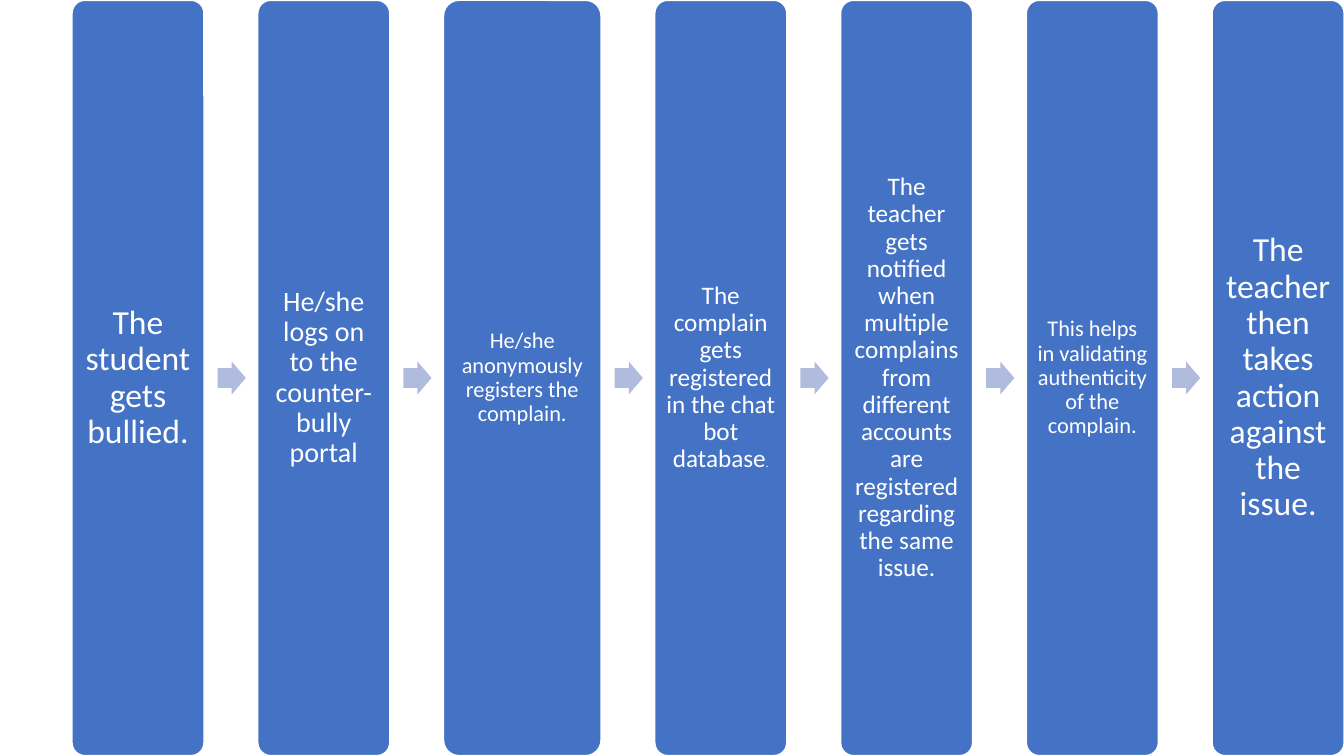
from pptx import Presentation
from pptx.dml.color import RGBColor
from pptx.enum import shapes, text
from pptx.util import Pt

BLUE = RGBColor(0x44, 0x72, 0xC4)
PALE = RGBColor(0xB0, 0xBC, 0xDE)
WHITE = RGBColor(0xFF, 0xFF, 0xFF)
WIDE, HIGH = 960, 540
LEFT, GAP = 51.2, 37.9
CARD, BROAD = 94.8, 113


class Deck:
    """Holds the style and the current slide."""
    font = "Calibri"

    def __init__(self):
        self.prs = Presentation()
        self.prs.slide_width, self.prs.slide_height = Pt(WIDE), Pt(HIGH)
        self.slide = self.prs.slides.add_slide(self.prs.slide_layouts[6])

    def shape(self, kind, x, y, w, h, fill, *adjust):
        item = self.slide.shapes.add_shape(kind, Pt(x), Pt(y), Pt(w), Pt(h))
        item.shadow.inherit = False
        item.fill.solid()
        item.fill.fore_color.rgb = fill
        item.line.fill.background()
        for i, value in enumerate(adjust):
            item.adjustments[i] = value
        return item

    def card(self, x, w, runs):
        item = self.shape(shapes.MSO_SHAPE.ROUNDED_RECTANGLE,
                          x, 0, w, HIGH, BLUE, 0.1)
        item.line.color.rgb = WHITE
        item.line.width = Pt(1.5)
        frame = item.text_frame
        frame.word_wrap = True
        frame.vertical_anchor = text.MSO_ANCHOR.MIDDLE
        # Margins grow with the text size
        inset = Pt(0.3 * runs[0][1])
        frame.margin_left = frame.margin_right = inset
        frame.margin_top = frame.margin_bottom = inset
        para = frame.paragraphs[0]
        para.alignment = text.PP_ALIGN.CENTER
        para.line_spacing = 0.9
        for words, size in runs:
            run = para.add_run()
            run.text = words
            run.font.name = self.font
            run.font.size = Pt(size)
            run.font.color.rgb = WHITE

    def arrow(self, x):
        w, h = 20.1, 23.5
        self.shape(shapes.MSO_SHAPE.RIGHT_ARROW,
                   x, (HIGH - h) / 2, w, h, PALE, 0.6, 0.5)


# Steps: card width, then runs of words and size
STEPS = [
    (CARD, [("The student gets bullied.", 24)]),
    (CARD, [("He/she logs on to the counter-bully portal", 20)]),
    (BROAD, [("He/she anonymously registers the complain.", 16)]),
    (CARD, [("The complain gets registered in the chat bot database", 18),
            (".", 8)]),
    (CARD, [("The teacher gets notified when multiple complains from "
             "different accounts are registered regarding the same issue.",
             18)]),
    (CARD, [("This helps in validating authenticity of the complain.", 16)]),
    (CARD, [("The teacher then takes action against the issue.", 24)]),
]

deck = Deck()

# Cards from left to right, with an arrow in each gap
x = LEFT
for i, (width, runs) in enumerate(STEPS):
    if i:
        deck.arrow(x - GAP + GAP / 4)
    deck.card(x, width, runs)
    x += width + GAP

deck.prs.save("out.pptx")
